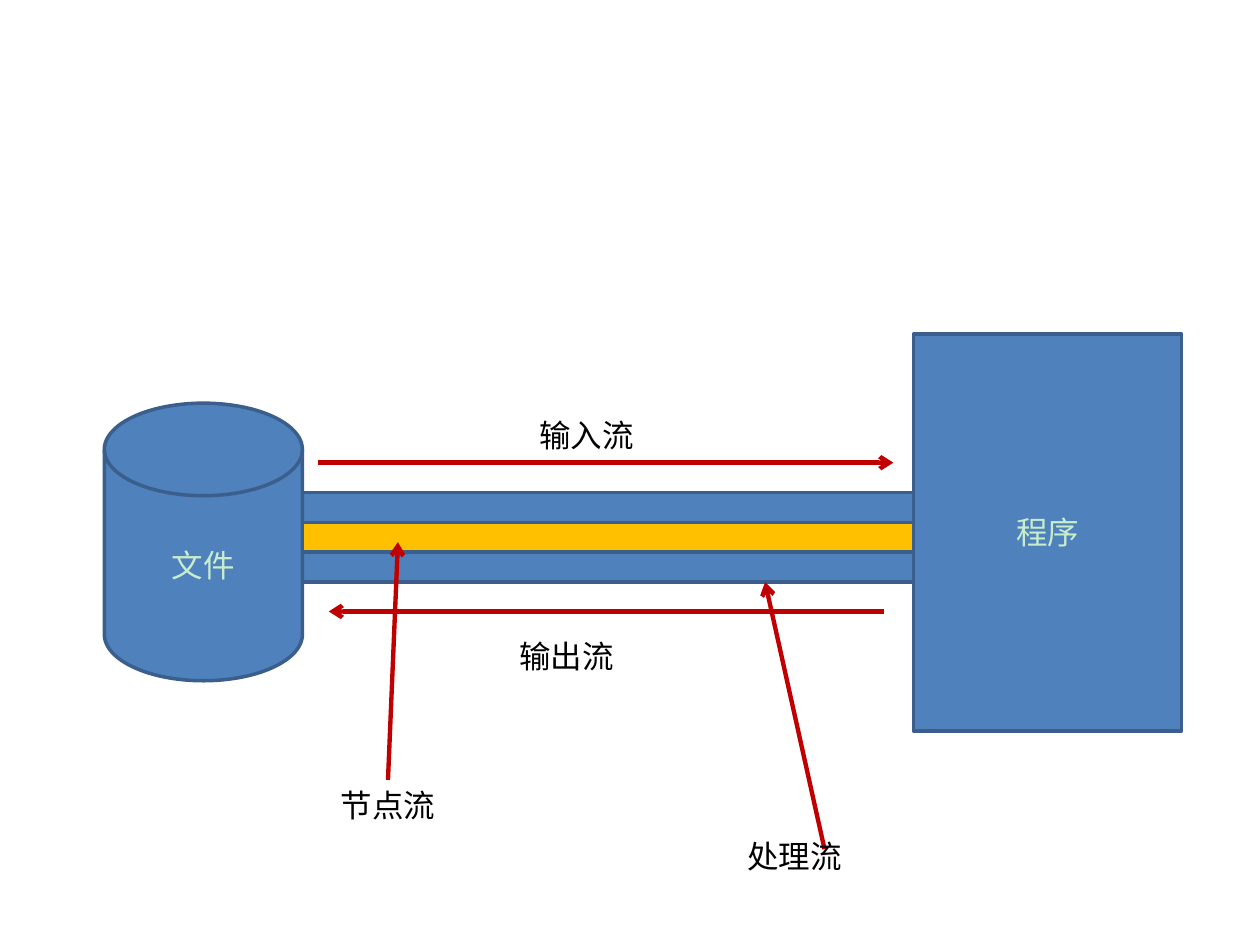
from typing import NamedTuple

from lxml import etree
from pptx import Presentation
from pptx.dml.color import RGBColor
from pptx.enum.shapes import MSO_CONNECTOR, MSO_SHAPE
from pptx.enum.text import MSO_ANCHOR, MSO_AUTO_SIZE, PP_ALIGN
from pptx.oxml.ns import qn
from pptx.util import Pt

RECTANGLE = MSO_SHAPE.RECTANGLE
DISK = MSO_SHAPE.FLOWCHART_MAGNETIC_DISK
STRAIGHT = MSO_CONNECTOR.STRAIGHT
MIDDLE = MSO_ANCHOR.MIDDLE
CENTER = PP_ALIGN.CENTER
FIT_SHAPE = MSO_AUTO_SIZE.SHAPE_TO_FIT_TEXT

FONT = "Calibri"
FONT_SIZE = 18
COLORS = {
    "blue": "4F81BD",
    "outline": "3A5F8C",
    "gold": "FFC000",
    "red": "C00000",
    "mint": "C7EDCC",
    "black": "000000",
}


class Block(NamedTuple):
    preset: MSO_SHAPE
    left: float
    top: float
    width: float
    height: float
    fill: str = "blue"
    text: str = ""


class Arrow(NamedTuple):
    start_x: float
    start_y: float
    end_x: float
    end_y: float


class Label(NamedTuple):
    text: str
    left: float
    top: float
    width: float


# The pipe runs from the file to the program; its core is the middle third
PIPE_LEFT, PIPE_TOP, PIPE_WIDTH, PIPE_HEIGHT = 172.8, 281.5, 349.2, 51.1
PIPE_RIGHT = PIPE_LEFT + PIPE_WIDTH
CORE_HEIGHT = PIPE_HEIGHT / 3
LABEL_HEIGHT = 29.1

BLOCKS = [
    Block(RECTANGLE, PIPE_RIGHT, 190.8, 153.2, 226.8, text="程序"),
    Block(RECTANGLE, PIPE_LEFT, PIPE_TOP, PIPE_WIDTH, PIPE_HEIGHT),
    Block(DISK, 59.6, 230.4, PIPE_LEFT - 59.6, 158.6, text="文件"),
    Block(RECTANGLE, PIPE_LEFT, PIPE_TOP + CORE_HEIGHT, PIPE_WIDTH, CORE_HEIGHT, "gold"),
]
ARROWS = [
    Arrow(182, 264.4, 510.5, 264.4),
    Arrow(505.2, 349.4, 187.9, 349.4),
    Arrow(221.7, 445.7, 227.4, 309.8),
    Arrow(471.2, 485.3, 437.2, PIPE_TOP + PIPE_HEIGHT),
]
LABELS = [
    Label("输入流", 301, 234, 170),
    Label("输出流", 289.5, 360.7, 170),
    Label("节点流", 187.7, 445.7, 102),
    Label("处理流", 420, 475, 124.7),
]


def color(name: str) -> RGBColor:
    return RGBColor.from_string(COLORS[name])


def write_text(frame, text: str, color_name: str) -> None:
    frame.text = text
    font = frame.paragraphs[0].runs[0].font
    font.name = FONT
    font.size = Pt(FONT_SIZE)
    font.color.rgb = color(color_name)


def draw_block(page, block: Block) -> None:
    shape = page.shapes.add_shape(
        block.preset, Pt(block.left), Pt(block.top), Pt(block.width), Pt(block.height)
    )
    shape.shadow.inherit = False
    shape.fill.solid()
    shape.fill.fore_color.rgb = color(block.fill)
    shape.line.color.rgb = color("outline")
    shape.line.width = Pt(2)
    if block.text:
        write_text(shape.text_frame, block.text, "mint")
        shape.text_frame.vertical_anchor = MIDDLE
        shape.text_frame.paragraphs[0].alignment = CENTER


def draw_arrow(page, arrow: Arrow) -> None:
    connector = page.shapes.add_connector(STRAIGHT, *(Pt(value) for value in arrow))
    connector.line.color.rgb = color("red")
    connector.line.width = Pt(2.5)
    properties = connector._element.spPr
    etree.SubElement(properties.find(qn("a:ln")), qn("a:tailEnd"), type="arrow")
    etree.SubElement(properties, qn("a:effectLst"))


def draw_label(page, label: Label) -> None:
    box = page.shapes.add_textbox(
        Pt(label.left), Pt(label.top), Pt(label.width), Pt(LABEL_HEIGHT)
    )
    box.text_frame.word_wrap = True
    box.text_frame.auto_size = FIT_SHAPE
    write_text(box.text_frame, label.text, "black")


def main() -> None:
    deck = Presentation()
    deck.slide_width, deck.slide_height = Pt(720), Pt(540)
    page = deck.slides.add_slide(deck.slide_layouts[6])

    # File, program and the pipe between them
    for block in BLOCKS:
        draw_block(page, block)
    # Flow directions and pointers to the pipe parts
    for arrow in ARROWS:
        draw_arrow(page, arrow)
    # Stream names
    for label in LABELS:
        draw_label(page, label)

    deck.save("out.pptx")


if __name__ == "__main__":
    main()
